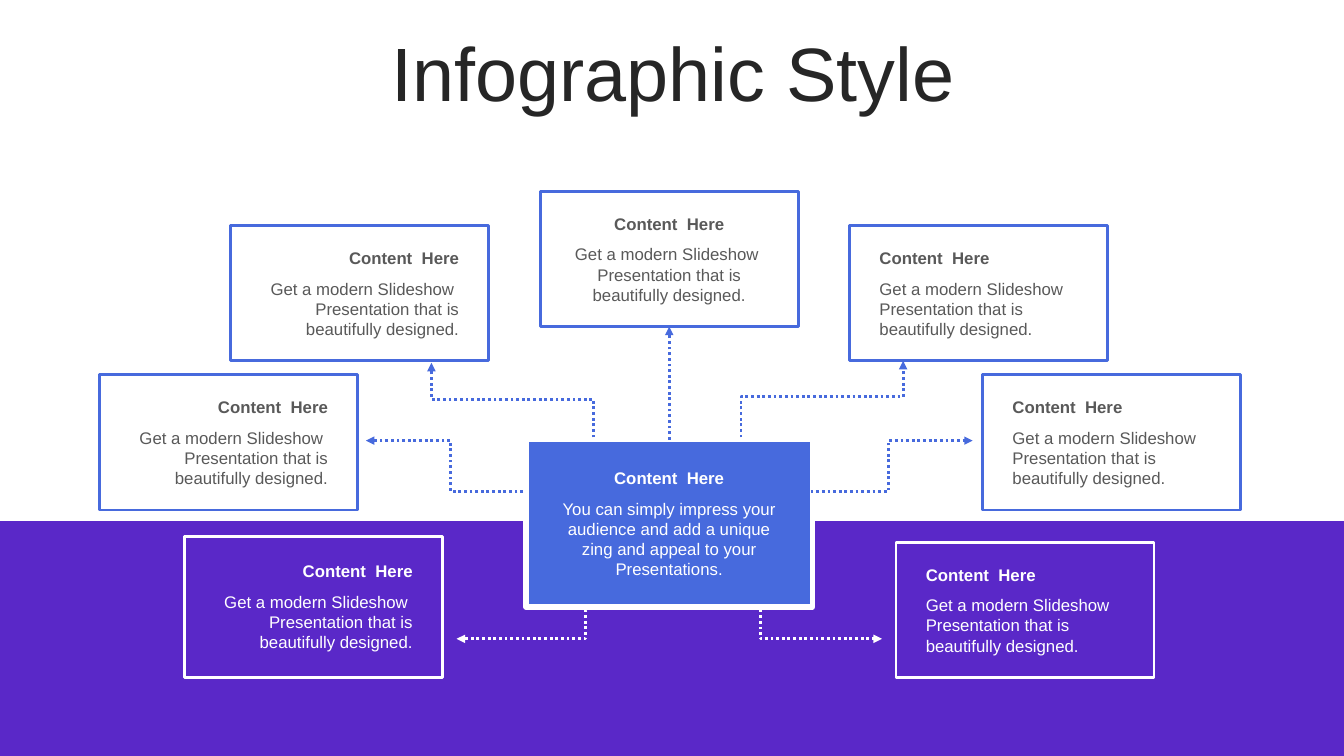
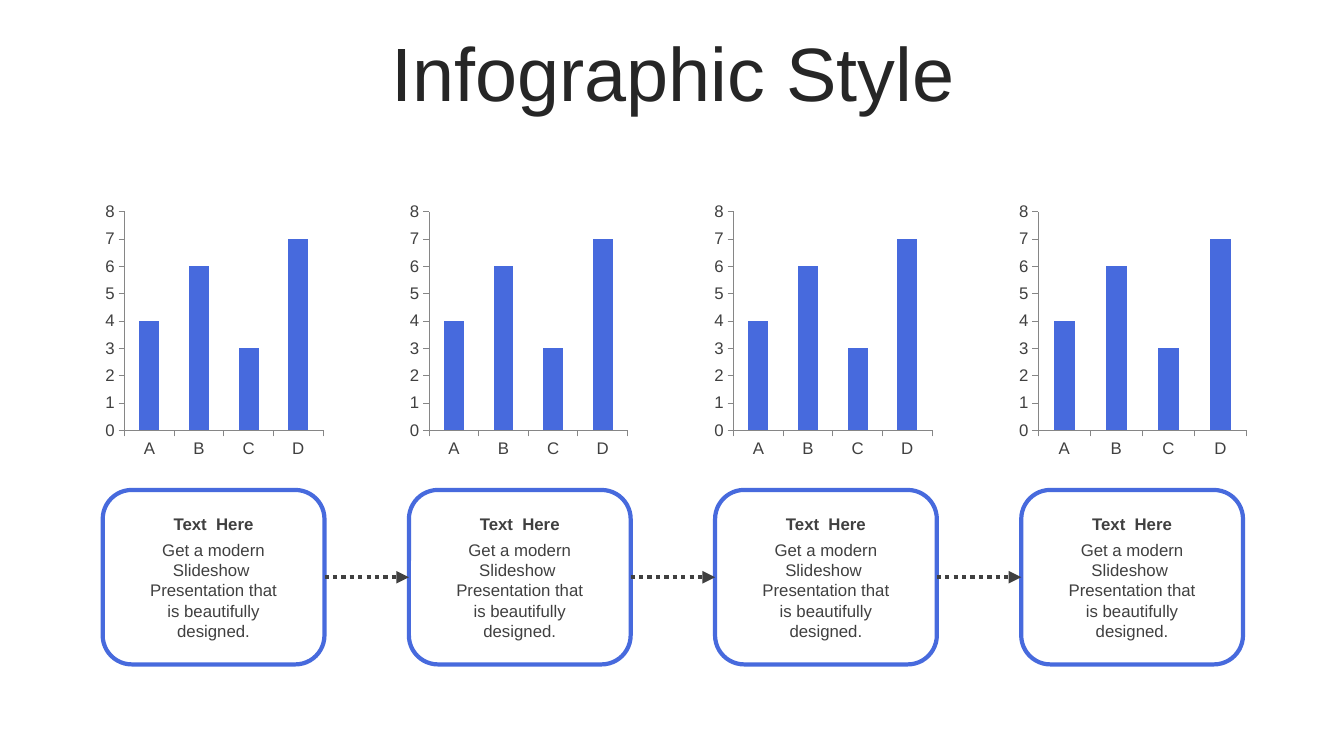
from dataclasses import dataclass
from typing import Optional

from lxml.etree import SubElement
from pptx import Presentation
from pptx.chart.data import CategoryChartData
from pptx.dml.color import RGBColor
from pptx.enum.chart import XL_CHART_TYPE, XL_TICK_MARK
from pptx.enum.dml import MSO_LINE
from pptx.enum.shapes import MSO_CONNECTOR, MSO_SHAPE
from pptx.enum.text import MSO_ANCHOR, MSO_AUTO_SIZE, PP_ALIGN
from pptx.oxml.ns import qn
from pptx.shapes.autoshape import Shape
from pptx.shapes.connector import Connector
from pptx.slide import Slide
from pptx.util import Pt


# Shared look
@dataclass(frozen=True)
class Theme:
    font: str = "Arial"
    title_size: float = 54
    text_size: float = 12
    blue: RGBColor = RGBColor(0x47, 0x6A, 0xDD)
    purple: RGBColor = RGBColor(0x5A, 0x28, 0xC8)
    white: RGBColor = RGBColor(0xFF, 0xFF, 0xFF)
    title: RGBColor = RGBColor(0x26, 0x26, 0x26)
    dark: RGBColor = RGBColor(0x40, 0x40, 0x40)
    gray: RGBColor = RGBColor(0x59, 0x59, 0x59)
    axis: RGBColor = RGBColor(0x86, 0x86, 0x86)


THEME = Theme()
SLIDE_WIDTH, SLIDE_HEIGHT = 960, 540
TITLE = "Infographic Style"
BODY = "Get a modern Slideshow  Presentation that is beautifully designed."
CENTER_BODY = (
    "You can simply impress your audience and add a unique "
    "zing and appeal to your Presentations."
)


@dataclass(frozen=True)
class BoxStyle:
    fill: Optional[RGBColor]
    line: RGBColor
    text: RGBColor
    line_width: float = 2
    side_margin: float = 21.2
    heading_gap: float = 7.5
    preset: MSO_SHAPE = MSO_SHAPE.RECTANGLE


@dataclass(frozen=True)
class TextBox:
    left: float
    top: float
    style: BoxStyle
    align: PP_ALIGN = PP_ALIGN.CENTER
    width: float = 184.3
    height: float = 96.5
    heading: str = "Content  Here"
    body: str = BODY


@dataclass(frozen=True)
class Elbow:
    begin: tuple[float, float]
    end: tuple[float, float]
    bend: float
    color: RGBColor = THEME.blue
    vertical_first: bool = False


LIGHT = BoxStyle(THEME.white, THEME.blue, THEME.gray)
ON_BAND = BoxStyle(None, THEME.white, THEME.white)
CENTER = BoxStyle(THEME.blue, THEME.white, THEME.white, line_width=4, side_margin=24.8)
CARD = BoxStyle(
    THEME.white, THEME.blue, THEME.dark, line_width=3, side_margin=26.3,
    heading_gap=4.2, preset=MSO_SHAPE.ROUNDED_RECTANGLE,
)

# Hub diagram
TOP_BOX = TextBox(385.9, 136.8, LIGHT)
CENTER_BOX = TextBox(375.8, 314, CENTER, width=204.5, height=119.5, body=CENTER_BODY)
OUTER_BOXES = (
    TextBox(164.9, 161.3, LIGHT, PP_ALIGN.RIGHT),
    TextBox(607, 161.3, LIGHT, PP_ALIGN.LEFT),
    TextBox(71.3, 267.8, LIGHT, PP_ALIGN.RIGHT),
    TextBox(702, 267.8, LIGHT, PP_ALIGN.LEFT),
    TextBox(131.8, 383, ON_BAND, PP_ALIGN.RIGHT, height=100.8),
    TextBox(640.1, 387.4, ON_BAND, PP_ALIGN.LEFT),
)
ELBOWS = (
    Elbow((424.1, 312.5), (308.2, 259.2), 0.51, vertical_first=True),
    Elbow((529.2, 312.5), (645.1, 257.8), 0.53, vertical_first=True),
    Elbow((373.7, 351.2), (261.4, 314.8), 0.46),
    Elbow((579, 351.2), (694.8, 314.8), 0.48),
    Elbow((417.2, 436.3), (326.2, 456.3), -0.01, THEME.white),
    Elbow((544, 436.3), (630, 456.3), -0.01, THEME.white),
)
BAND_TOP = 372.2

# Chart row
CARD_LEFT, CARD_TOP, CARD_PITCH = 73.4, 350, 218.7
CHART_LEFT, CHART_TOP, CHART_PITCH, CHART_HEIGHT = 72, 141.1, 217.5, 190
CHART_WIDTHS = (162, 162, 162, 169.2)
CATEGORIES = ("A", "B", "C", "D")
VALUES = (4, 6, 3, 7)


def style_font(font, size: float, color: RGBColor, bold: bool = False) -> None:
    font.name = THEME.font
    font.size = Pt(size)
    font.color.rgb = color
    font.bold = bold


def add_titled_slide(deck) -> Slide:
    page = deck.slides.add_slide(deck.slide_layouts[5])
    title = page.shapes.title
    title.left, title.top, title.width, title.height = Pt(25), Pt(26.6), Pt(911.5), Pt(57)
    frame = title.text_frame
    frame.text = TITLE
    frame.auto_size = MSO_AUTO_SIZE.NONE
    frame.vertical_anchor = MSO_ANCHOR.MIDDLE
    para = frame.paragraphs[0]
    para.alignment = PP_ALIGN.CENTER
    para.line_spacing = 0.9
    style_font(para.runs[0].font, THEME.title_size, THEME.title)
    return page


def add_text_box(page: Slide, box: TextBox) -> Shape:
    style = box.style
    shape = page.shapes.add_shape(
        style.preset, Pt(box.left), Pt(box.top), Pt(box.width), Pt(box.height)
    )
    shape.shadow.inherit = False
    if style.fill is None:
        shape.fill.background()
    else:
        shape.fill.solid()
        shape.fill.fore_color.rgb = style.fill
    shape.line.color.rgb = style.line
    shape.line.width = Pt(style.line_width)

    frame = shape.text_frame
    frame.word_wrap = True
    frame.vertical_anchor = MSO_ANCHOR.MIDDLE
    frame.margin_left = frame.margin_right = Pt(style.side_margin)
    frame.text = f"{box.heading}\n{box.body}"
    for para, bold in zip(frame.paragraphs, (True, False)):
        para.alignment = box.align
        style_font(para.runs[0].font, THEME.text_size, style.text, bold)
    frame.paragraphs[1].space_before = Pt(style.heading_gap)
    return shape


def style_arrow(arrow: Connector, color: RGBColor, width: float) -> None:
    arrow.line.color.rgb = color
    arrow.line.width = Pt(width)
    arrow.line.dash_style = MSO_LINE.ROUND_DOT
    properties = arrow.element.spPr
    SubElement(properties.find(qn("a:ln")), qn("a:tailEnd"), type="triangle")
    SubElement(properties, qn("a:effectLst"))


def join_boxes(
    page: Slide, first: Shape, first_side: int, second: Shape, second_side: int,
    color: RGBColor, width: float,
) -> None:
    arrow = page.shapes.add_connector(MSO_CONNECTOR.STRAIGHT, 0, 0, 0, 0)
    arrow.begin_connect(first, first_side)
    arrow.end_connect(second, second_side)
    style_arrow(arrow, color, width)


def add_elbow(page: Slide, elbow: Elbow) -> None:
    (begin_x, begin_y), (end_x, end_y) = elbow.begin, elbow.end
    turn = 0
    if elbow.vertical_first:
        # An upward route is a sideways one turned a quarter about its middle
        middle_x, middle_y = (begin_x + end_x) / 2, (begin_y + end_y) / 2
        side = 1 if end_x > begin_x else -1
        half_width = side * abs(end_y - begin_y) / 2
        half_height = abs(end_x - begin_x) / 2
        begin_x, end_x = middle_x + half_width, middle_x - half_width
        begin_y, end_y = middle_y + half_height, middle_y - half_height
        turn = 90 if side > 0 else 270
    arrow = page.shapes.add_connector(
        MSO_CONNECTOR.ELBOW, Pt(begin_x), Pt(begin_y), Pt(end_x), Pt(end_y)
    )
    properties = arrow.element.spPr
    if turn:
        properties.find(qn("a:xfrm")).set("rot", str(turn * 60000))
    guides = properties.find(qn("a:prstGeom")).find(qn("a:avLst"))
    SubElement(guides, qn("a:gd"), name="adj1", fmla=f"val {round(elbow.bend * 100000)}")
    style_arrow(arrow, elbow.color, 2)


def add_column_chart(page: Slide, left: float, width: float) -> None:
    data = CategoryChartData()
    data.categories = CATEGORIES
    data.add_series("Series 1", VALUES)
    chart = page.shapes.add_chart(
        XL_CHART_TYPE.COLUMN_STACKED,
        Pt(left), Pt(CHART_TOP), Pt(width), Pt(CHART_HEIGHT), data,
    ).chart
    chart.has_title = False
    chart.has_legend = False
    style_font(chart.font, THEME.text_size, THEME.dark)
    for axis in (chart.category_axis, chart.value_axis):
        axis.has_major_gridlines = False
        axis.major_tick_mark = XL_TICK_MARK.OUTSIDE
        axis.minor_tick_mark = XL_TICK_MARK.NONE
        axis.format.line.color.rgb = THEME.axis
        axis.format.line.width = Pt(0.75)
        style_font(axis.tick_labels.font, THEME.text_size, THEME.dark)
    chart.value_axis.minimum_scale = 0
    chart.value_axis.maximum_scale = 8
    chart.value_axis.major_unit = 1
    plot = chart.plots[0]
    plot.gap_width = 150
    plot.overlap = 100
    plot.vary_by_categories = False
    columns = plot.series[0].format.fill
    columns.solid()
    columns.fore_color.rgb = THEME.blue


def build_hub_slide(deck) -> None:
    page = add_titled_slide(deck)
    band = page.shapes.add_shape(
        MSO_SHAPE.RECTANGLE, 0, Pt(BAND_TOP), Pt(SLIDE_WIDTH), Pt(SLIDE_HEIGHT - BAND_TOP)
    )
    band.shadow.inherit = False
    band.fill.solid()
    band.fill.fore_color.rgb = THEME.purple
    band.line.fill.background()

    for box in OUTER_BOXES:
        add_text_box(page, box)
    top = add_text_box(page, TOP_BOX)
    center = add_text_box(page, CENTER_BOX)
    join_boxes(page, center, 0, top, 2, THEME.blue, 2)
    for elbow in ELBOWS:
        add_elbow(page, elbow)


def build_chart_slide(deck) -> None:
    page = add_titled_slide(deck)
    cards = []
    for index, chart_width in enumerate(CHART_WIDTHS):
        add_column_chart(page, CHART_LEFT + index * CHART_PITCH, chart_width)
        card = TextBox(
            CARD_LEFT + index * CARD_PITCH, CARD_TOP, CARD,
            width=158.4, height=124.6, heading="Text  Here",
        )
        cards.append(add_text_box(page, card))
    for first, second in zip(cards, cards[1:]):
        join_boxes(page, first, 3, second, 1, THEME.dark, 3)


def main() -> None:
    deck = Presentation()
    deck.slide_width, deck.slide_height = Pt(SLIDE_WIDTH), Pt(SLIDE_HEIGHT)
    build_hub_slide(deck)
    build_chart_slide(deck)
    deck.save("out.pptx")


if __name__ == "__main__":
    main()
